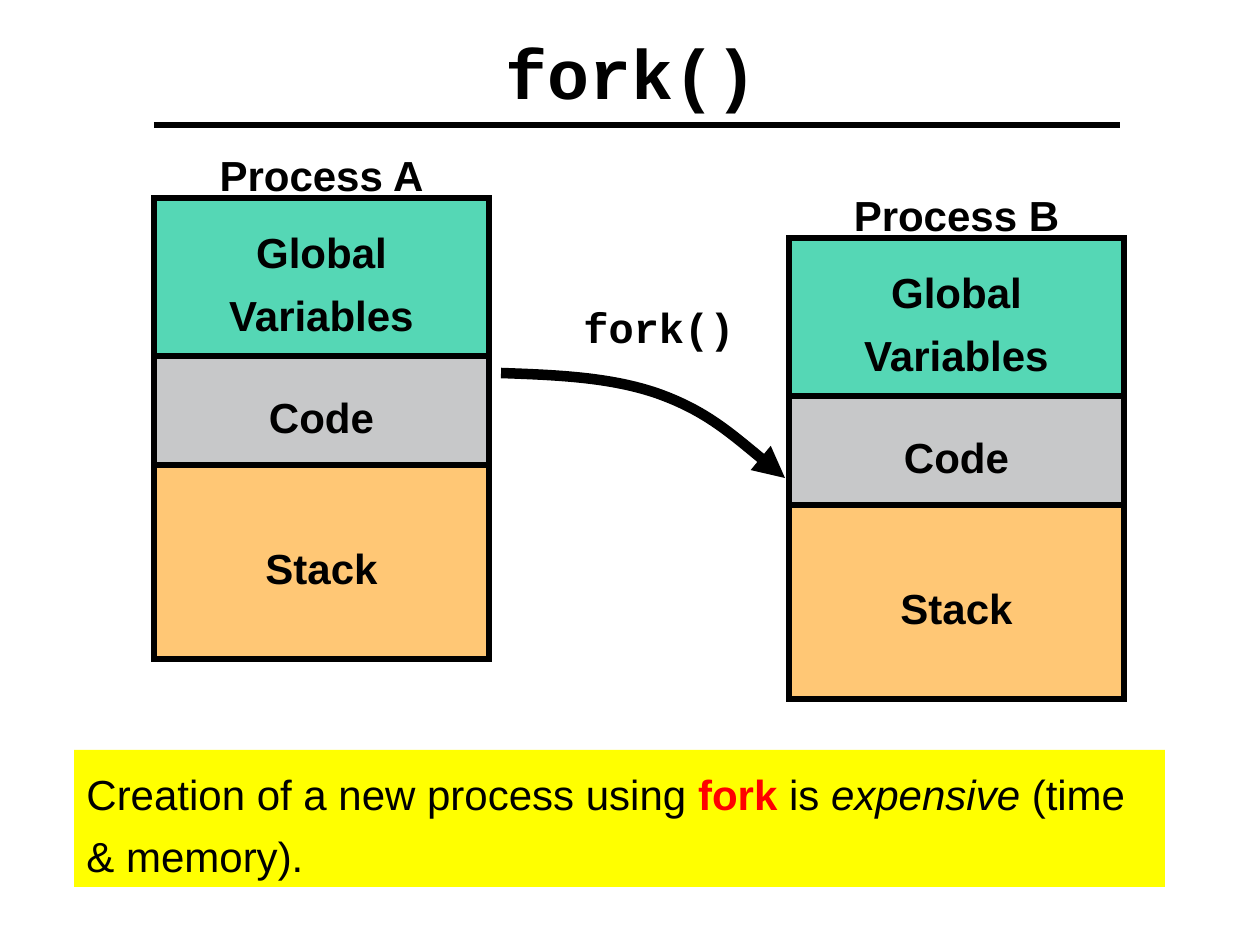
from lxml import etree
from pptx import Presentation
from pptx.dml.color import RGBColor
from pptx.enum.shapes import MSO_CONNECTOR, MSO_SHAPE
from pptx.enum.text import MSO_ANCHOR, MSO_AUTO_SIZE, PP_ALIGN
from pptx.oxml.ns import qn
from pptx.util import Emu, Pt

RECTANGLE = MSO_SHAPE.RECTANGLE
STRAIGHT = MSO_CONNECTOR.STRAIGHT
TOP, MIDDLE = MSO_ANCHOR.TOP, MSO_ANCHOR.MIDDLE
LEFT, CENTER = PP_ALIGN.LEFT, PP_ALIGN.CENTER
GROW = MSO_AUTO_SIZE.SHAPE_TO_FIT_TEXT

EMU_PER_PX = 914400 / 126
BLACK = "000000"
SECTION_WIDTH = 335
HEADING_HEIGHT = 68
HEADING_TO_SECTIONS = 63
SECTIONS = [
    (["Global", "Variables"], 158, "55D7B5"),
    (["Code"], 109, "C7C8C9"),
    (["Stack"], 194, "FFC775"),
]


def px(length):
    return Emu(round(length * EMU_PER_PX))


def color(value):
    return RGBColor.from_string(value)


def bold(text, font="Arial", size=24, ink=BLACK):
    return text, font, size, ink, True, False


def plain(text, italic=False):
    return text, "Arial", 24, BLACK, False, italic


def write(shape, paragraphs, align=CENTER, anchor=MIDDLE, spacing=1.24, wrap=False):
    frame = shape.text_frame
    frame.word_wrap = wrap
    frame.vertical_anchor = anchor
    for index, runs in enumerate(paragraphs):
        paragraph = frame.add_paragraph() if index else frame.paragraphs[0]
        paragraph.alignment = align
        paragraph.line_spacing = spacing
        for text, font, size, ink, is_bold, is_italic in runs:
            run = paragraph.add_run()
            run.text = text
            run.font.name = font
            run.font.size = Pt(size)
            run.font.color.rgb = color(ink)
            run.font.bold = is_bold
            run.font.italic = is_italic


def stroke(shape, width):
    shape.line.color.rgb = color(BLACK)
    shape.line.width = Pt(width)
    outline = shape.line._get_or_add_ln()
    etree.SubElement(outline, qn("a:miter"), lim="800000")
    return outline


def add_label(shapes, box, runs, **layout):
    label = shapes.add_textbox(*map(px, box))
    write(label, [runs], **layout)
    return label


def add_panel(shapes, box, fill):
    panel = shapes.add_shape(RECTANGLE, *map(px, box))
    panel.shadow.inherit = False
    panel.fill.solid()
    panel.fill.fore_color.rgb = color(fill)
    return panel


def add_process(slide, name, left, top):
    shapes = slide.shapes.add_group_shape().shapes
    add_label(shapes, (left, top, SECTION_WIDTH, HEADING_HEIGHT), [bold(name)])
    top += HEADING_TO_SECTIONS
    for lines, height, fill in SECTIONS:
        section = add_panel(shapes, (left, top, SECTION_WIDTH, height), fill)
        stroke(section, 3)
        write(section, [[bold(line)] for line in lines])
        top += height


def add_rule(slide, left, right, y):
    rule = slide.shapes.add_connector(STRAIGHT, px(left), px(y), px(right), px(y))
    stroke(rule, 3)
    etree.SubElement(rule._element.spPr, qn("a:effectLst"))


def add_curved_arrow(slide, start, bezier_points):
    builder = slide.shapes.build_freeform(*map(px, start))
    builder.add_line_segments([(px(x), px(y)) for x, y in bezier_points], close=False)
    arrow = builder.convert_to_shape()
    arrow.shadow.inherit = False
    arrow.fill.background()
    etree.SubElement(stroke(arrow, 6), qn("a:tailEnd"), type="triangle")
    segments = arrow._element.xpath(".//a:lnTo")
    outline = segments[0].getparent()
    for first in range(0, len(segments), 3):
        curve = etree.SubElement(outline, qn("a:cubicBezTo"))
        for segment in segments[first:first + 3]:
            curve.append(segment[0])
            outline.remove(segment)


def add_note(slide, box, runs):
    note = add_panel(slide.shapes, box, "FFFF00")
    note.line.fill.background()
    write(note, [runs], align=LEFT, anchor=TOP, wrap=True)
    note.text_frame.auto_size = GROW


def main():
    deck = Presentation()
    deck.slide_width, deck.slide_height = px(1260), px(945)
    slide = deck.slides.add_slide(deck.slide_layouts[6])

    call = add_label(slide.shapes, (571, 294, 176, 64), [bold("fork()", "Courier New")],
                     align=LEFT, anchor=TOP, spacing=1.03)
    call.text_frame.auto_size = GROW
    add_label(slide.shapes, (54, 26, 1155, 89), [bold("fork()", "Courier New", 40)],
              spacing=1.03, wrap=True)
    add_process(slide, "Process A", 154, 135)
    add_process(slide, "Process B", 789, 175)
    add_curved_arrow(slide, (501, 373), [(556, 375), (611, 377), (659, 394),
                                         (706, 411), (745, 445), (785, 478)])
    add_rule(slide, 154, 1120, 125)
    add_note(slide, (74, 750, 1091, 137), [
        plain("Creation of a new process using "),
        bold("fork", ink="FF0000"),
        plain(" is "),
        plain("expensive", italic=True),
        plain(" (time & memory)."),
    ])
    deck.save("out.pptx")


if __name__ == "__main__":
    main()
